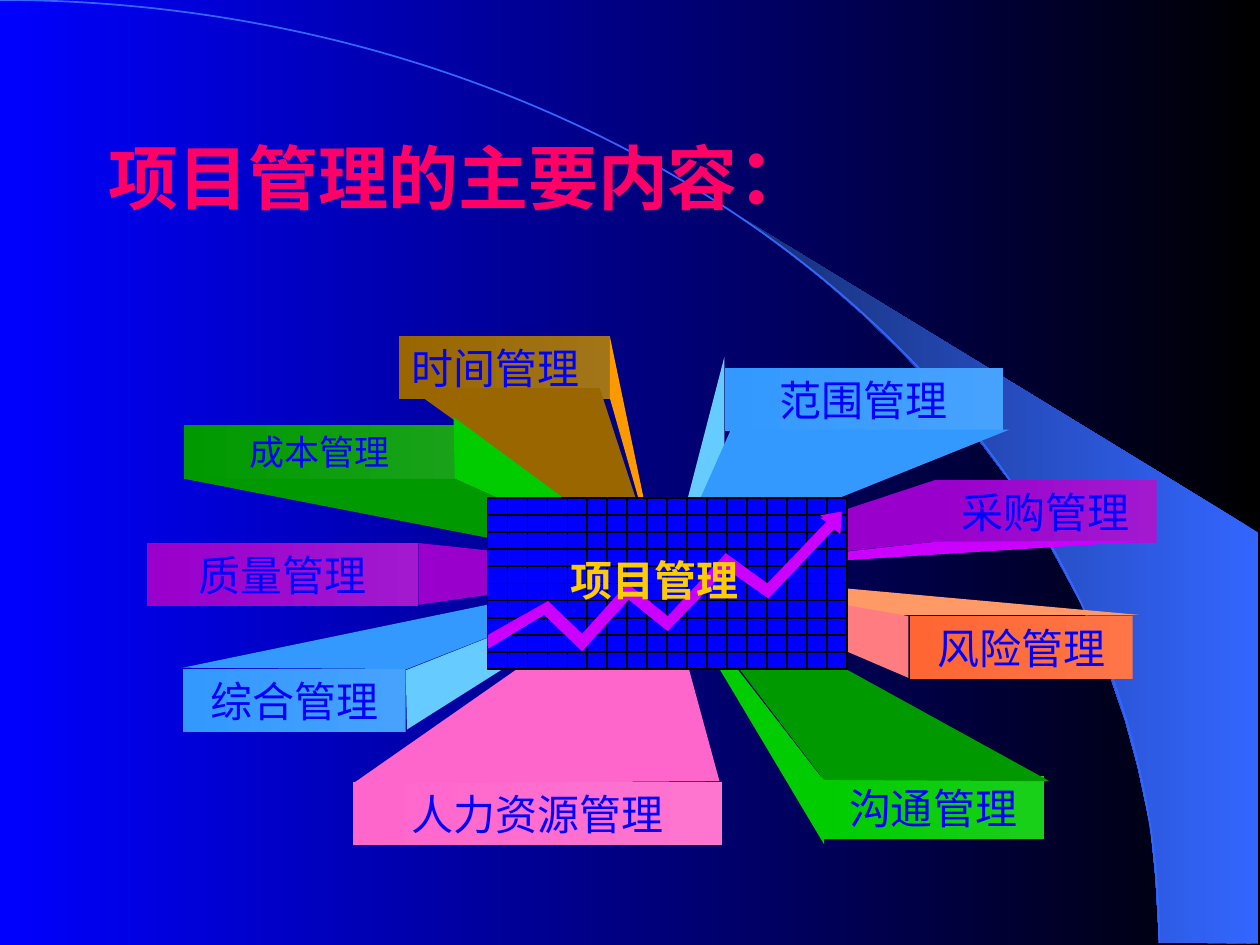
from dataclasses import dataclass

from pptx import Presentation
from pptx.dml.color import RGBColor
from pptx.enum.shapes import MSO_CONNECTOR, MSO_SHAPE
from pptx.enum.text import MSO_ANCHOR, PP_ALIGN
from pptx.oxml.xmlchemy import OxmlElement
from pptx.util import Cm, Length, Pt

RECT, ARC = MSO_SHAPE.RECTANGLE, MSO_SHAPE.ARC
STRAIGHT = MSO_CONNECTOR.STRAIGHT
LEFT, CENTER = PP_ALIGN.LEFT, PP_ALIGN.CENTER
TOP, MIDDLE = MSO_ANCHOR.TOP, MSO_ANCHOR.MIDDLE
SERIF, SANS, CJK = "Times New Roman", "Arial", "Noto Sans CJK SC"
CM_PER_UNIT = 2.54

COLORS = {
    "black": "000000", "blue": "0000FF", "title": "FF0066", "gold": "FFCC00",
    "arc": "3366FF", "arc_dark": "172F75",
    "brown": "996600", "brown_light": "A27519", "amber": "FF9900",
    "sky": "3399FF", "sky_light": "47A2FE", "sky_pale": "66CCFF",
    "purple": "9900CC", "purple_light": "A219D0", "violet": "CC00FF",
    "green": "009900", "green_light": "19A219",
    "lime": "00CC00", "lime_light": "19D019",
    "pink": "FF66CC", "pink_light": "FE75D0",
    "orange": "FF6633", "orange_light": "FE7547",
    "peach": "FF9966", "coral": "FF7C80",
}

Point = tuple[float, float]


@dataclass
class Label:
    text: str
    left: float
    top: float
    width: float
    color: str
    height: float = 0.5
    size: int = 24
    font: str = SERIF
    align: PP_ALIGN = CENTER


@dataclass
class Ray:
    color: str
    points: list[Point]


LABELS = [
    Label("时间管理", 3.17, 2.67, 1.67, "brown", align=LEFT),
    Label("范围管理", 5.75, 2.92, 2.21, "sky"),
    Label("质量管理", 1.17, 4.31, 2.15, "purple"),
    Label("成本管理", 1.46, 3.37, 2.15, "green", height=0.43, size=20),
    Label("综合管理", 1.45, 5.31, 1.77, "sky"),
    Label("人力资源管理", 2.8, 6.21, 2.93, "pink"),
    Label("采购管理", 7.41, 3.81, 1.77, "purple", font=CJK),
    Label("风险管理", 7.22, 4.89, 1.77, "orange", font=CJK),
    Label("沟通管理", 6.52, 6.16, 1.77, "lime"),
]

RAYS = [
    Ray("brown", [(3.25, 3.08), (4.76, 3.08), (5.22, 4.49)]),
    Ray("amber", [(4.84, 2.67), (4.84, 3.16), (5.22, 4.49)]),
    Ray("sky_pale", [(5.75, 2.83), (5.75, 3.59), (5.32, 4.49)]),
    Ray("sky", [(5.8, 3.41), (5.32, 4.49), (8.01, 3.41)]),
    Ray("purple", [(7.42, 3.81), (7.42, 4.3), (5.24, 4.53)]),
    Ray("violet", [(9.18, 4.29), (5.24, 4.54), (7.42, 4.3)]),
    Ray("peach", [(5.27, 4.54), (9.04, 4.88), (6.77, 4.88)]),
    Ray("coral", [(5.27, 4.55), (7.21, 4.89), (7.21, 5.38)]),
    Ray("green", [(1.46, 3.8), (3.61, 3.8), (5.27, 4.54)]),
    Ray("lime", [(3.6, 3.31), (5.27, 4.54), (3.61, 3.8)]),
    Ray("purple", [(3.32, 4.31), (5.3, 4.52), (3.32, 4.8)]),
    Ray("sky", [(1.45, 5.3), (5.27, 4.51), (3.23, 5.31)]),
    Ray("sky_pale", [(5.24, 4.52), (3.22, 5.32), (3.23, 5.79)]),
    Ray("pink", [(2.8, 6.22), (5.25, 4.51), (5.71, 6.2)]),
    Ray("lime", [(5.24, 4.52), (6.54, 6.7), (6.55, 6.21)]),
    Ray("green", [(5.26, 4.51), (8.33, 6.2), (6.54, 6.19)]),
]

WEDGE = [
    (9.2, 7.48), (9.99, 7.49), (9.99, 4.23), (5.89, 1.73), (6.24, 1.99),
    (6.53, 2.22), (6.85, 2.5), (7.16, 2.8), (7.62, 3.3), (8.03, 3.84),
    (8.32, 4.31), (8.58, 4.79), (8.78, 5.28), (8.93, 5.72), (9.03, 6.09),
    (9.13, 6.56), (9.17, 6.96),
]

TREND = [
    (3.87, 5.04), (4.35, 4.77), (4.62, 5.03), (4.98, 4.63), (5.3, 4.89),
    (5.76, 4.39), (6.09, 4.63), (6.57, 4.13), (6.51, 4.09), (6.68, 4.06),
    (6.67, 4.22), (6.62, 4.18), (6.1, 4.73), (5.77, 4.5), (5.3, 4.99),
    (4.99, 4.74), (4.62, 5.15), (4.32, 4.86), (3.87, 5.13),
]

PANEL_LEFT, PANEL_TOP, PANEL_WIDTH, PANEL_HEIGHT = 3.87, 3.95, 2.85, 1.36
PANEL_COLUMNS, PANEL_ROWS = 18, 10


def units(value: float) -> Length:
    return Cm(value * CM_PER_UNIT)


def rgb(name: str) -> RGBColor:
    return RGBColor.from_string(COLORS[name])


def set_solid(fill, color: str) -> None:
    fill.solid()
    fill.fore_color.rgb = rgb(color)


def set_gradient(fill, right: str, left: str) -> None:
    fill.gradient()
    fill.gradient_angle = 180
    for stop, color, position in zip(fill.gradient_stops, (right, left), (0, 1)):
        stop.color.rgb = rgb(color)
        stop.position = position


def set_line(line, color: str) -> None:
    line.color.rgb = rgb(color)
    line.width = Pt(1)


def add_preset(slide, kind, left: float, top: float, width: float, height: float):
    sp = slide.shapes.add_shape(kind, *map(units, (left, top, width, height)))
    sp.shadow.inherit = False
    return sp


def add_polygon(slide, points: list[Point]):
    corners = [(units(x), units(y)) for x, y in points]
    builder = slide.shapes.build_freeform(*corners[0])
    builder.add_line_segments(corners[1:], close=True)
    sp = builder.convert_to_shape()
    sp.shadow.inherit = False
    sp.line.fill.background()
    return sp


def write_text(sp, runs: list[tuple[str, int]], font: str, color: str,
               align=LEFT, anchor=TOP, bold=False, wrap=True) -> None:
    tf = sp.text_frame
    tf.word_wrap = wrap
    tf.vertical_anchor = anchor
    p = tf.paragraphs[0]
    p.alignment = align
    p.font.name = font
    p.font.bold = bold
    p.font.color.rgb = rgb(color)
    for text, size in runs:
        r = p.add_run()
        r.text = text
        r.font.size = Pt(size)


def add_text_box(slide, left: float, top: float, width: float, height: float):
    return slide.shapes.add_textbox(*map(units, (left, top, width, height)))


def add_label(slide, label: Label) -> None:
    sp = add_preset(slide, RECT, label.left, label.top, label.width, label.height)
    set_gradient(sp.fill, f"{label.color}_light", label.color)
    sp.line.fill.background()
    write_text(sp, [(label.text, label.size)], label.font, "blue", label.align)


def add_grid_line(slide, start: Point, end: Point) -> None:
    line = slide.shapes.add_connector(STRAIGHT, *map(units, (*start, *end)))
    set_line(line.line, "black")
    line._element.spPr.append(OxmlElement("a:effectLst"))


def add_panel(slide) -> None:
    sp = add_preset(slide, RECT, PANEL_LEFT, PANEL_TOP, PANEL_WIDTH, PANEL_HEIGHT)
    set_solid(sp.fill, "blue")
    set_line(sp.line, "black")
    right, bottom = PANEL_LEFT + PANEL_WIDTH, PANEL_TOP + PANEL_HEIGHT
    for column in range(1, PANEL_COLUMNS):
        x = PANEL_LEFT + column * PANEL_WIDTH / PANEL_COLUMNS
        add_grid_line(slide, (x, PANEL_TOP), (x, bottom))
    for row in range(1, PANEL_ROWS):
        y = PANEL_TOP + row * PANEL_HEIGHT / PANEL_ROWS
        add_grid_line(slide, (PANEL_LEFT, y), (right, y))
    for drop in (0.02, 0):
        trend = add_polygon(slide, [(x, y + drop) for x, y in TREND])
        set_solid(trend.fill, "violet")
    caption = add_text_box(slide, 4.43, 4.35, 1.54, 0.5)
    write_text(caption, [("项目管理", 24)], CJK, "gold", bold=True, wrap=False)


def main() -> None:
    prs = Presentation()
    prs.slide_width, prs.slide_height = Cm(25.4), Cm(19.05)
    s = prs.slides.add_slide(prs.slide_layouts[6])
    set_gradient(s.background.fill, "black", "blue")
    set_gradient(add_polygon(s, WEDGE).fill, "arc", "arc_dark")
    arc = add_preset(s, ARC, -9.2, 0, 18.4, 14.97)
    arc.fill.background()
    set_line(arc.line, "arc")
    title = add_text_box(s, 0.33, 0.75, 6.67, 1.25)
    write_text(title, [("项目管理的主要内容", 40), ("：", 44)], SANS, "title",
               CENTER, MIDDLE, bold=True)
    for label in LABELS:
        add_label(s, label)
    for ray in RAYS:
        set_solid(add_polygon(s, ray.points).fill, ray.color)
    add_panel(s)
    prs.save("out.pptx")


if __name__ == "__main__":
    main()
